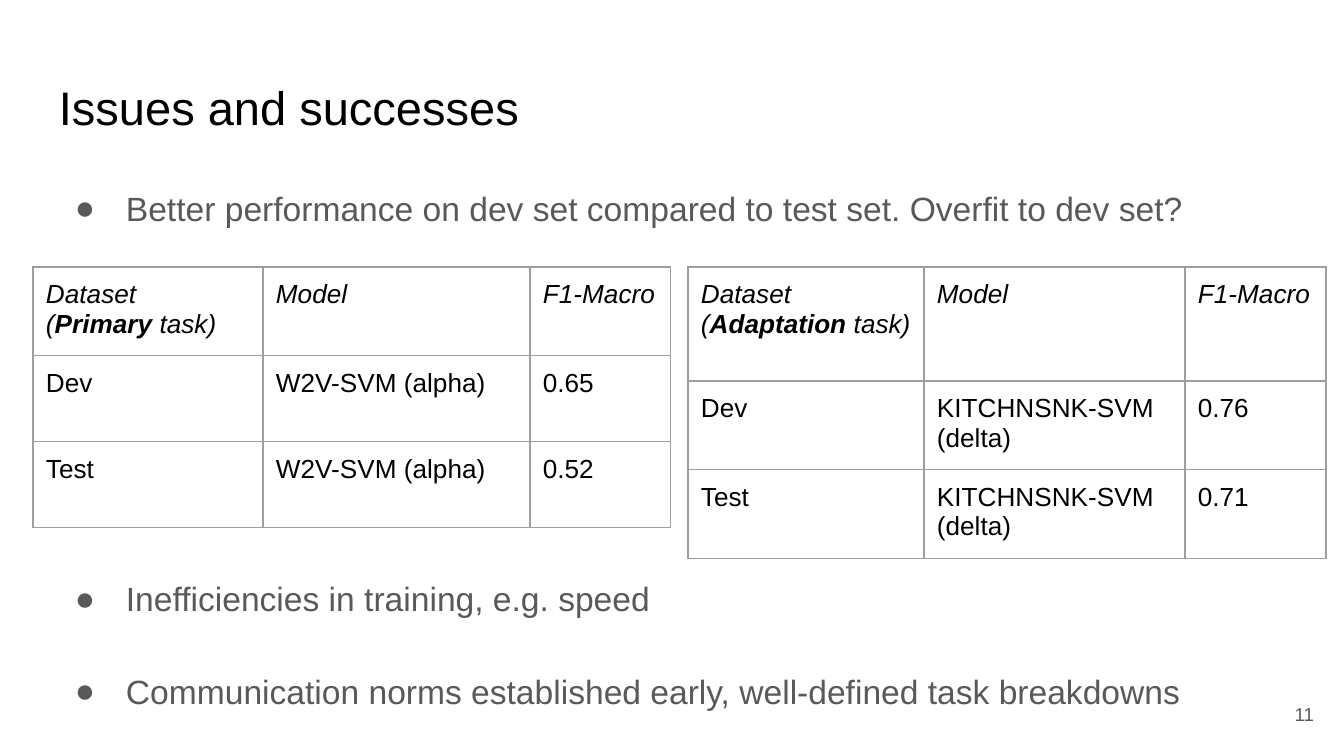
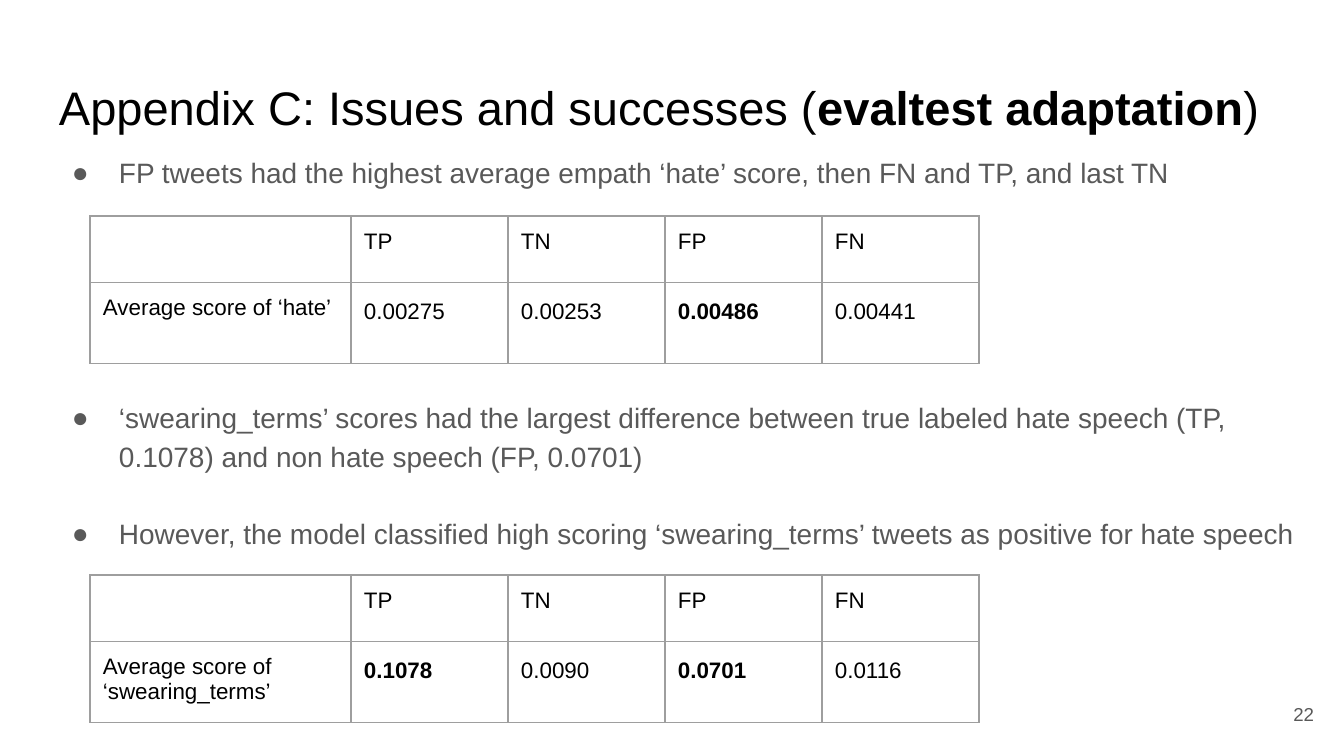
from dataclasses import dataclass

from lxml.etree import SubElement
from pptx import Presentation
from pptx.dml.color import RGBColor
from pptx.enum.text import MSO_ANCHOR, PP_ALIGN
from pptx.oxml.ns import qn
from pptx.util import Emu, Pt

EMU_PER_PIXEL = 914400 / 134.4
POINTS_PER_PIXEL = 72 / 134.4


@dataclass(frozen=True)
class Theme:
    font: str = "Arial"
    background: str = "FFFFFF"
    ink: str = "000000"
    muted: str = "595959"
    border: str = "9E9E9E"
    border_points: float = 0.75
    title_size: float = 25.2
    number_size: int = 10
    line_spacing: float = 1.15
    inset: int = 13


THEME = Theme()
SLIDE_SIZE = (1344, 756)
TITLE_BOX = (46, 66, 1253, 85)
NUMBER_BOX = (1246, 685, 81, 58)
BULLET_INDENT = 67
SCORE_COLUMNS = (261, 157, 157, 157, 157)
SCORE_ROWS = (64, 81)
OUTCOMES = ("", "TP", "TN", "FP", "FN")

# Text between ** marks is bold; each bullet is (gap before it, text).
SLIDES = [
    {
        "title": "Issues and successes",
        "number": "11",
        "body": {
            "box": (46, 169, 1253, 556),
            "size": 18,
            "hanging": 51,
            "bullets": [
                (0, "Better performance on dev set compared to test set. Overfit to dev set?"),
                (344, "Inefficiencies in training, e.g. speed"),
                (46, "Communication norms established early, well-defined task breakdowns"),
            ],
        },
        "table_style": {"size": 14, "header_italic": True, "value_spacing": 1.0},
        "tables": [
            {
                "corner": (33, 267),
                "columns": (230, 267, 141),
                "rows": (86, 86, 86),
                "cells": [
                    ("Dataset\n(**Primary** task)", "Model", "F1-Macro"),
                    ("Dev", "W2V-SVM (alpha)", "0.65"),
                    ("Test", "W2V-SVM (alpha)", "0.52"),
                ],
            },
            {
                "corner": (688, 267),
                "columns": (236, 261, 141),
                "rows": (114, 86, 86),
                "cells": [
                    ("Dataset (**Adaptation** task)", "Model", "F1-Macro"),
                    ("Dev", "KITCHNSNK-SVM (delta)", "0.76"),
                    ("Test", "KITCHNSNK-SVM (delta)", "0.71"),
                ],
            },
        ],
    },
    {
        "title": "Appendix C: Issues and successes (**evaltest adaptation**)",
        "number": "22",
        "body": {
            "box": (39, 138, 1288, 567),
            "size": 15,
            "hanging": 47,
            "bullets": [
                (0, "FP tweets had the highest average empath ‘hate’ score, then FN and TP, and last TN"),
                (206, "‘swearing_terms’ scores had the largest difference between true labeled "
                      "hate speech (TP, 0.1078) and non hate speech (FP, 0.0701)"),
                (39, "However, the model classified high scoring ‘swearing_terms’ tweets "
                     "as positive for hate speech"),
            ],
        },
        "table_style": {"size": 12, "header_italic": False, "value_spacing": 1.15},
        "tables": [
            {
                "corner": (90, 216),
                "columns": SCORE_COLUMNS,
                "rows": SCORE_ROWS,
                "cells": [
                    OUTCOMES,
                    ("Average score of ‘hate’", "0.00275", "0.00253", "**0.00486**", "0.00441"),
                ],
            },
            {
                "corner": (90, 575),
                "columns": SCORE_COLUMNS,
                "rows": SCORE_ROWS,
                "cells": [
                    OUTCOMES,
                    ("Average score of ‘swearing_terms’", "**0.1078**", "0.0090", "**0.0701**", "0.0116"),
                ],
            },
        ],
    },
]


def px(length):
    return Emu(round(length * EMU_PER_PIXEL))


def write(paragraph, text, size, color=THEME.ink, italic=False):
    """Fill a paragraph, reading ** as bold marks and newlines as line breaks."""
    for part_index, part in enumerate(text.split("**")):
        for line_index, line in enumerate(part.split("\n")):
            if line_index:
                paragraph.add_line_break()
            if not line:
                continue
            run = paragraph.add_run()
            run.text = line
            run.font.name = THEME.font
            run.font.size = Pt(size)
            run.font.color.rgb = RGBColor.from_string(color)
            run.font.bold = part_index % 2 == 1
            run.font.italic = italic


def set_margins(holder):
    """Give a text frame or table cell the same inset on all sides."""
    holder.margin_left = holder.margin_right = px(THEME.inset)
    holder.margin_top = holder.margin_bottom = px(THEME.inset)


def add_text_frame(slide, box):
    text_frame = slide.shapes.add_textbox(*map(px, box)).text_frame
    text_frame.word_wrap = True
    set_margins(text_frame)
    return text_frame


def add_title(slide, title):
    write(add_text_frame(slide, TITLE_BOX).paragraphs[0], title, THEME.title_size)


def add_number(slide, number):
    text_frame = add_text_frame(slide, NUMBER_BOX)
    text_frame.vertical_anchor = MSO_ANCHOR.MIDDLE
    paragraph = text_frame.paragraphs[0]
    paragraph.alignment = PP_ALIGN.RIGHT
    write(paragraph, number, THEME.number_size, THEME.muted)


def set_bullet(paragraph, hanging):
    properties = paragraph._p.get_or_add_pPr()
    properties.set("marL", str(px(BULLET_INDENT)))
    properties.set("indent", str(-px(hanging)))
    color = SubElement(properties, qn("a:buClr"))
    SubElement(color, qn("a:srgbClr"), val=THEME.muted)
    SubElement(properties, qn("a:buFont"), typeface=THEME.font)
    SubElement(properties, qn("a:buChar"), char="●")


def add_body(slide, box, size, hanging, bullets):
    text_frame = add_text_frame(slide, box)
    for index, (gap, text) in enumerate(bullets):
        paragraph = text_frame.add_paragraph() if index else text_frame.paragraphs[0]
        set_bullet(paragraph, hanging)
        paragraph.line_spacing = THEME.line_spacing
        if gap:
            paragraph.space_before = Pt(round(gap * POINTS_PER_PIXEL, 1))
        write(paragraph, text, size, THEME.muted)


def set_borders(cell):
    properties = cell._tc.get_or_add_tcPr()
    for index, side in enumerate(("a:lnL", "a:lnR", "a:lnT", "a:lnB")):
        line = properties.makeelement(qn(side), {"w": str(Pt(THEME.border_points))})
        fill = SubElement(line, qn("a:solidFill"))
        SubElement(fill, qn("a:srgbClr"), val=THEME.border)
        properties.insert(index, line)


def add_table(slide, corner, columns, rows, cells, size, header_italic, value_spacing):
    box = (*corner, sum(columns), sum(rows))
    table = slide.shapes.add_table(len(rows), len(columns), *map(px, box)).table
    table.first_row = table.horz_banding = False
    for column, width in zip(table.columns, columns):
        column.width = px(width)
    for row_index, (row, height) in enumerate(zip(table.rows, rows)):
        row.height = px(height)
        for column_index, cell in enumerate(row.cells):
            cell.fill.background()
            set_margins(cell)
            set_borders(cell)
            paragraph = cell.text_frame.paragraphs[0]
            if row_index and column_index:
                paragraph.line_spacing = value_spacing
            write(paragraph, cells[row_index][column_index], size,
                  italic=header_italic and row_index == 0)


def main():
    presentation = Presentation()
    presentation.slide_width, presentation.slide_height = map(px, SLIDE_SIZE)
    for content in SLIDES:
        slide = presentation.slides.add_slide(presentation.slide_layouts[6])
        slide.background.fill.solid()
        slide.background.fill.fore_color.rgb = RGBColor.from_string(THEME.background)
        add_title(slide, content["title"])
        add_body(slide, **content["body"])
        add_number(slide, content["number"])
        for table in content["tables"]:
            add_table(slide, **table, **content["table_style"])
    presentation.save("out.pptx")


if __name__ == "__main__":
    main()
